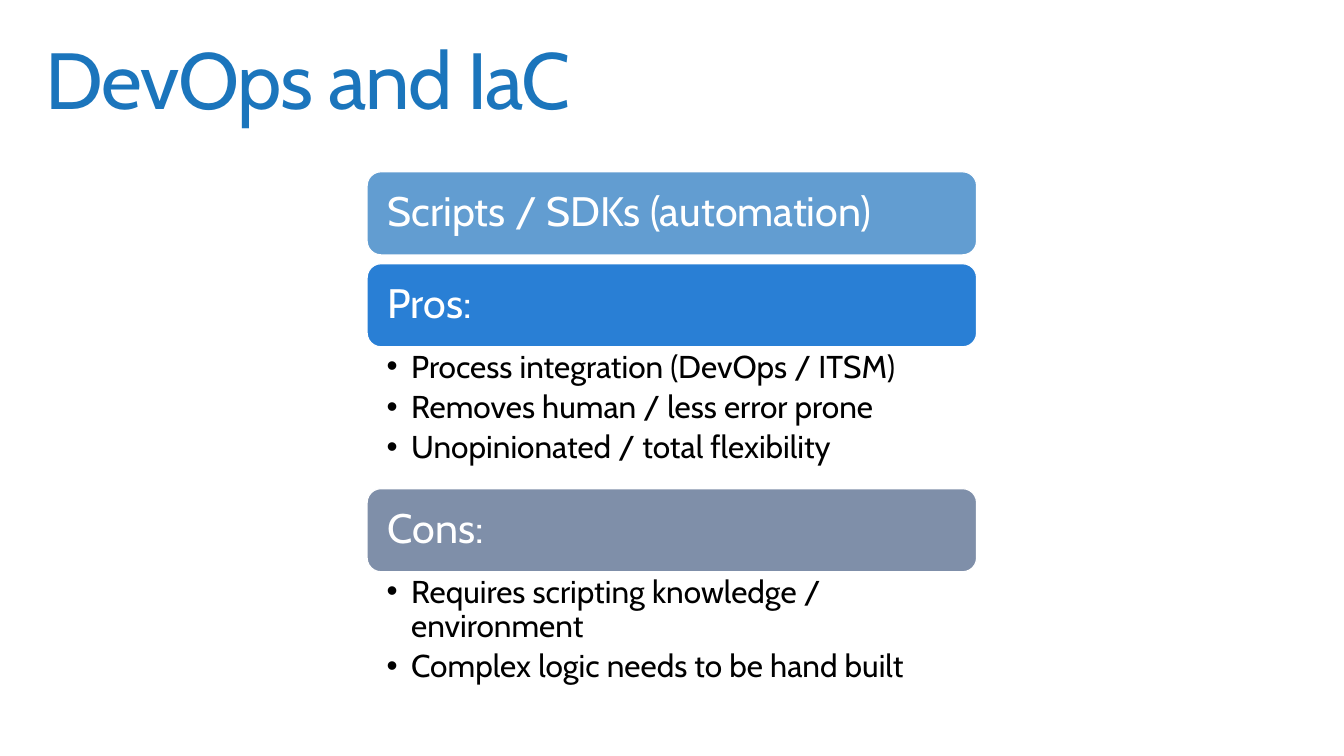
from dataclasses import dataclass

from lxml import etree
from pptx import Presentation
from pptx.dml.color import RGBColor
from pptx.enum import shapes, text
from pptx.oxml import ns
from pptx.util import Pt


@dataclass(frozen=True)
class Theme:
    font: str = "Cabin"
    title: str = "1B75BC"
    body: str = "000000"
    light: str = "FFFFFF"
    automation: str = "629DD1"
    pros: str = "297FD5"
    cons: str = "7F8FA9"
    title_size: float = 58
    bar_size: float = 30
    list_size: float = 23


THEME = Theme()
BAR_HEIGHT = 60.5
BAR_GAP = 6.5
SECTIONS = [
    ("Scripts / SDKs (automation)", THEME.automation, [], BAR_GAP),
    ("Pros:", THEME.pros, [
        "Process integration (DevOps / ITSM)",
        "Removes human / less error prone",
        "Unopinionated / total flexibility",
    ], 103.4),
    ("Cons:", THEME.cons, [
        "Requires scripting knowledge / environment",
        "Complex logic needs to be hand built",
    ], 95),
]


def rgb(value):
    return RGBColor.from_string(value)


def write(p, content, *, size, color, line=0.9, after=0, spacing=None, bullet=None, indent=18):
    p.alignment = text.PP_ALIGN.LEFT
    p.line_spacing = line
    p.space_before, p.space_after = Pt(0), Pt(after)
    r = p.add_run()
    r.text = content
    r.font.name, r.font.size = THEME.font, Pt(size)
    r.font.color.rgb = rgb(color)
    if spacing is not None:
        r.font._element.set("spc", str(round(spacing * 100)))
    if bullet:
        pPr = p._p.get_or_add_pPr()
        pPr.set("marL", str(Pt(indent)))
        pPr.set("indent", str(-Pt(indent)))
        etree.SubElement(pPr, ns.qn("a:buFont")).set("typeface", "Arial")
        etree.SubElement(pPr, ns.qn("a:buChar")).set("char", bullet)


def set_frame(tf, anchor, left, top, right, bottom):
    tf.word_wrap = True
    tf.auto_size = text.MSO_AUTO_SIZE.NONE
    tf.vertical_anchor = anchor
    tf.margin_left, tf.margin_top = Pt(left), Pt(top)
    tf.margin_right, tf.margin_bottom = Pt(right), Pt(bottom)


def add_title(s, content, x, y, w, h):
    sp = s.shapes.title
    sp.left, sp.top, sp.width, sp.height = map(Pt, (x, y, w, h))
    tf = sp.text_frame
    set_frame(tf, text.MSO_ANCHOR.TOP, 11.5, 7.2, 11.5, 7.2)
    write(tf.paragraphs[0], content, size=THEME.title_size, color=THEME.title,
          line=Pt(63), spacing=-1)


def add_bar(s, label, fill, x, y, w, h):
    sp = s.shapes.add_shape(shapes.MSO_SHAPE.ROUNDED_RECTANGLE, *map(Pt, (x, y, w, h)))
    sp.shadow.inherit = False
    sp.fill.solid()
    sp.fill.fore_color.rgb = rgb(fill)
    sp.line.color.rgb = rgb(THEME.light)
    sp.line.width = Pt(0.85)
    tf = sp.text_frame
    set_frame(tf, text.MSO_ANCHOR.MIDDLE, 12, 8.6, 12, 8.6)
    write(tf.paragraphs[0], label, size=THEME.bar_size, color=THEME.light)


def add_list(s, items, x, y, w, h):
    tf = s.shapes.add_textbox(*map(Pt, (x, y, w, h))).text_frame
    set_frame(tf, text.MSO_ANCHOR.TOP, 14.1, 2.9, 16.4, 2.9)
    for i, item in enumerate(items):
        p = tf.add_paragraph() if i else tf.paragraphs[0]
        write(p, item, size=THEME.list_size, color=THEME.body, after=4.4, bullet="•")


def add_sections(s, sections, x, y, w):
    for label, fill, items, space in sections:
        add_bar(s, label, fill, x, y, w, BAR_HEIGHT)
        y += BAR_HEIGHT
        if items:
            add_list(s, items, x, y, w, space)
        y += space


def main():
    prs = Presentation()
    prs.slide_width, prs.slide_height = Pt(979.2), Pt(550.8)
    s = prs.slides.add_slide(prs.slide_layouts[5])
    add_title(s, "DevOps and IaC", 21.6, 20.9, 720, 86.4)
    add_sections(s, SECTIONS, 267.5, 125.2, 444)
    prs.save("out.pptx")


if __name__ == "__main__":
    main()
